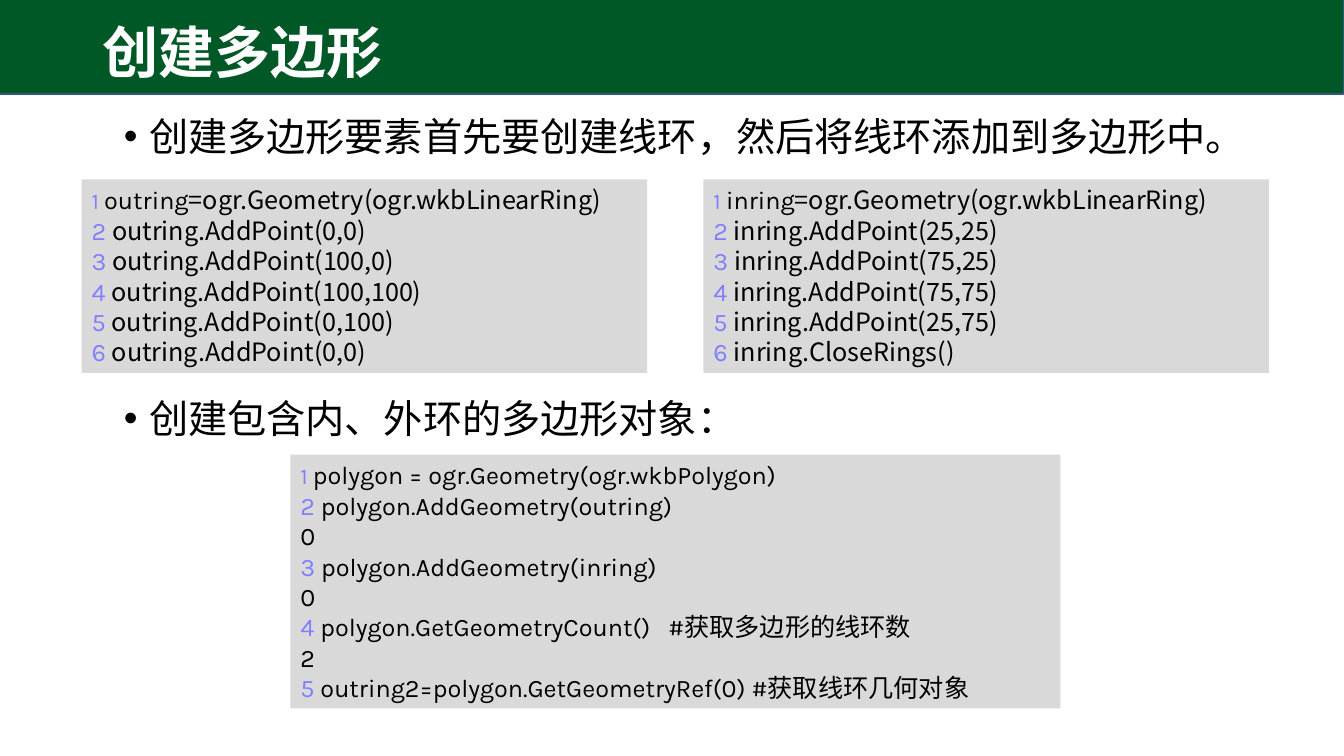
import pptx
import pptx.dml.color
import pptx.enum.shapes
import pptx.enum.text
import pptx.util
from lxml import etree

Pt = pptx.util.Pt
SANS, CODE = "Noto Sans CJK SC", "Karla"
BLACK, NUMBER_COLOUR = "000000", "8080FF"

TITLE = "创建多边形"
# (text, top)
BULLETS = [
    ("创建多边形要素首先要创建线环，然后将线环添加到多边形中。", 77.8),
    ("创建包含内、外环的多边形对象：", 279.4),
]

RING_START = "=ogr.Geometry(ogr.wkbLinearRing)"
OUTER_POINTS = ["0,0", "100,0", "100,100", "0,100", "0,0"]
INNER_POINTS = ["25,25", "75,25", "75,75", "25,75"]
POLYGON_LINES = [
    ("1 ", "polygon = ogr.Geometry(ogr.wkbPolygon)"),
    ("2 ", "polygon.AddGeometry(outring)"),
    ("", "0"),
    ("3 ", "polygon.AddGeometry(inring)"),
    ("", "0"),
    ("4 ", "polygon.GetGeometryCount()   #获取多边形的线环数"),
    ("", "2"),
    ("5 ", "outring2=polygon.GetGeometryRef(0) #获取线环几何对象"),
]


def colour(hex_text):
    return pptx.dml.color.RGBColor.from_string(hex_text)


def add_span(para, text, size=18, font=CODE, ink=BLACK, bold=False):
    span = para.add_run()
    span.text = text
    span.font.size = Pt(size)
    span.font.bold = bold
    span.font.color.rgb = colour(ink)
    span.font.name = font
    east_asian = etree.SubElement(span.font._element, pptx.oxml.ns.qn("a:ea"))
    east_asian.set("typeface", SANS)


def add_rectangle(page, left, top, width, height, fill, line=None):
    box = page.shapes.add_shape(
        pptx.enum.shapes.MSO_SHAPE.RECTANGLE, Pt(left), Pt(top), Pt(width), Pt(height))
    box.shadow.inherit = False
    box.fill.solid()
    box.fill.fore_color.rgb = colour(fill)
    if line:
        box.line.color.rgb = colour(line)
        box.line.width = Pt(1)
    else:
        box.line.fill.background()
    return box


def add_text_box(page, left, top, width, height):
    box = page.shapes.add_textbox(Pt(left), Pt(top), Pt(width), Pt(height))
    box.text_frame.word_wrap = True
    return box.text_frame


def add_bullet(page, text, top):
    para = add_text_box(page, 81.4, top, 802, 42).paragraphs[0]
    settings = para._p.get_or_add_pPr()
    settings.set("marL", str(Pt(18)))
    settings.set("indent", str(-Pt(18)))
    font = etree.SubElement(settings, pptx.oxml.ns.qn("a:buFont"))
    font.set("typeface", "Arial")
    etree.SubElement(settings, pptx.oxml.ns.qn("a:buChar")).set("char", "•")
    para.line_spacing = Pt(32.5)
    add_span(para, text, size=28, font="Arial")


def add_code(page, left, top, width, height, lines):
    """Each line is its number followed by (text, font) pieces."""
    frame = add_rectangle(page, left, top, width, height, "D9D9D9").text_frame
    frame.word_wrap = True
    frame.vertical_anchor = pptx.enum.text.MSO_ANCHOR.TOP
    for index, (number, pieces) in enumerate(lines):
        para = frame.add_paragraph() if index else frame.paragraphs[0]
        para.alignment = pptx.enum.text.PP_ALIGN.LEFT
        para.line_spacing = Pt(21.7)
        if number:
            add_span(para, number, size=18 if index else 16, ink=NUMBER_COLOUR)
        for text, font in pieces:
            add_span(para, text, font=font)


def ring_lines(name, points, closing=()):
    calls = [f"{name}.AddPoint({point})" for point in points]
    calls += [f"{name}.{call}" for call in closing]
    first = ("1 ", [(name, CODE), (RING_START, SANS)])
    return [first] + [(f"{n} ", [(call, SANS)]) for n, call in enumerate(calls, 2)]


def main():
    deck = pptx.Presentation()
    deck.slide_width, deck.slide_height = Pt(960), Pt(540)
    page = deck.slides.add_slide(deck.slide_layouts[6])

    add_rectangle(page, -0.5, -0.5, 960, 67.7, "005826", line="31577E")
    title = add_text_box(page, 66.2, 11.5, 893.8, 56.2)
    title.vertical_anchor = pptx.enum.text.MSO_ANCHOR.MIDDLE
    title.paragraphs[0].line_spacing = 0.9
    add_span(title.paragraphs[0], TITLE, size=40, font=SANS, ink="FFFFFF", bold=True)

    for text, top in BULLETS:
        add_bullet(page, text, top)

    rings = [ring_lines("outring", OUTER_POINTS),
             ring_lines("inring", INNER_POINTS, ["CloseRings()"])]
    for column, lines in enumerate(rings):
        add_code(page, 58.3 + column * 444.2, 128.2, 404, 138.2, lines)
    polygon = [(number, [(text, CODE)]) for number, text in POLYGON_LINES]
    add_code(page, 207.4, 324.7, 550, 181.4, polygon)

    deck.save("out.pptx")


if __name__ == "__main__":
    main()
